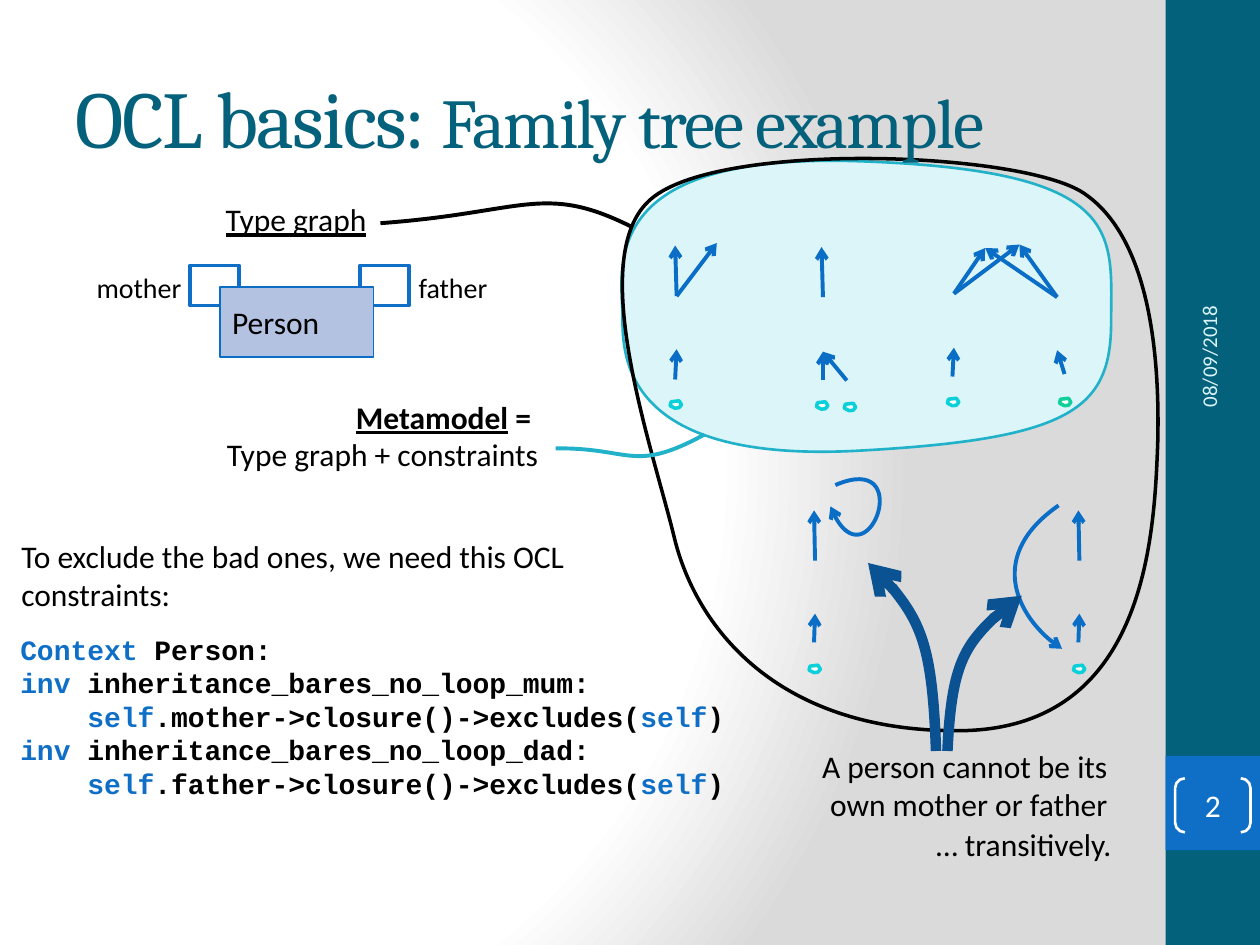
from lxml.etree import SubElement
from pptx import Presentation
from pptx.dml.color import RGBColor
from pptx.enum.shapes import MSO_CONNECTOR, MSO_SHAPE
from pptx.enum.text import MSO_ANCHOR, MSO_AUTO_SIZE, PP_ALIGN
from pptx.oxml import parse_xml
from pptx.oxml.ns import nsdecls, qn
from pptx.util import Cm, Pt

TEAL, BLUE, ARROW_BLUE, DARK_BLUE = "04617B", "0F6FC6", "0A6DC6", "0B5292"
CYAN, AQUA, GREEN, PALE = "21B2C9", "0BD0D9", "10CF9B", "DBF5F9"
BLACK, WHITE = "000000", "FFFFFF"


def color(value):
    return RGBColor.from_string(value)


def style_line(shape, value, width, arrow=False):
    shape.line.color.rgb = color(value)
    shape.line.width = Pt(width)
    if arrow:
        SubElement(shape.line._get_or_add_ln(), qn("a:tailEnd"), type="arrow")


presentation = Presentation()
presentation.slide_width, presentation.slide_height = Cm(25.4), Cm(19.05)
slide = presentation.slides.add_slide(presentation.slide_layouts[5])
shapes = slide.shapes

# Background: radial gradient
stops = "".join(
    f'<a:gs pos="{position}000"><a:srgbClr val="{value}"/></a:gs>'
    for position, value in ((0, WHITE), (75, WHITE), (100, "DADADA")))
slide._element.cSld.insert(0, parse_xml(
    f'<p:bg {nsdecls("p", "a")}><p:bgPr><a:gradFill><a:gsLst>{stops}</a:gsLst>'
    '<a:path path="circle"><a:fillToRect l="20000" t="50000" r="100000" b="50000"/>'
    '</a:path></a:gradFill><a:effectLst/></p:bgPr></p:bg>'))

# Side panel
for top, height, fill in ((0, 19.05, TEAL), (15.24, 1.9, BLUE)):
    panel = shapes.add_shape(MSO_SHAPE.RECTANGLE, Cm(23.5), Cm(top), Cm(1.9), Cm(height))
    panel.shadow.inherit = False
    panel.fill.solid()
    panel.fill.fore_color.rgb = color(fill)
    panel.line.fill.background()

# Curves: start point followed by three points for each cubic segment
curves = [
    # Set of models that satisfy the metamodel
    (PALE, CYAN, 1.5, False, [
        (12.55, 6.48), (12.57, 5.51), (11.86, 3.07), (17.3, 3.25),
        (22.73, 3.43), (22.4, 4.7), (22.4, 6.48),
        (22.4, 8.26), (21.59, 8.86), (17.22, 9.09),
        (12.85, 9.3), (12.55, 7.44), (12.55, 6.48)]),
    # Set of models that satisfy the type graph
    (None, BLACK, 2, False, [
        (13.61, 10.9), (13.18, 9.09), (11.76, 5.16), (13.13, 4.01),
        (14.5, 2.84), (20.57, 3.05), (21.84, 3.89),
        (23.14, 4.75), (23.39, 7.04), (23.34, 8.94),
        (23.27, 10.85), (23.09, 14.66), (19.41, 14.73),
        (15.72, 14.78), (14.07, 12.7), (13.61, 10.9)]),
    # Leaders from the labels to the sets
    (None, BLACK, 2.25, False, [(7.67, 4.5), (10.57, 4.29), (10.95, 3.68), (12.73, 4.57)]),
    (None, CYAN, 2.25, False, [(11.2, 9.04), (12.73, 9.02), (12.75, 9.55), (14.2, 8.76)]),
    # Forbidden loops
    (None, ARROW_BLUE, 2.25, True, [(16.84, 9.78), (18.44, 9.09), (17.45, 11.96), (16.74, 10.21)]),
    (None, ARROW_BLUE, 2.25, True, [(21.34, 10.19), (19.91, 11.18), (20.57, 12.57), (21.41, 13.08)]),
    # Thick pointers to the loops
    (None, DARK_BLUE, 6, True, [(18.87, 15.14), (18.8, 13.13), (18.49, 12.22), (17.5, 11.35)]),
    (None, DARK_BLUE, 6, True, [(19.1, 15.14), (19.18, 13.49), (19.53, 12.73), (20.6, 12.01)]),
]
STEPS = 24
for fill, line, width, arrow, points in curves:
    # Points along the curve give the outline its true extent
    builder = shapes.build_freeform(Cm(points[0][0]), Cm(points[0][1]))
    vertices = []
    for first in range(0, len(points) - 1, 3):
        for step in range(1, STEPS + 1):
            t = step / STEPS
            weights = ((1 - t) ** 3, 3 * t * (1 - t) ** 2, 3 * t * t * (1 - t), t ** 3)
            vertices.append(tuple(
                Cm(sum(weight * point[axis] for weight, point in zip(weights, points[first:first + 4])))
                for axis in (0, 1)))
    closed = points[0] == points[-1]
    builder.add_line_segments(vertices, close=closed)
    curve = builder.convert_to_shape()
    # Cubic segments replace the straight ones
    outline = next(curve._element.iter(qn("a:path")))
    for segment in outline.findall(qn("a:lnTo")):
        outline.remove(segment)
    for first in range(1, len(points), 3):
        cubic = SubElement(outline, qn("a:cubicBezTo"))
        for x, y in points[first:first + 3]:
            SubElement(cubic, qn("a:pt"), x=str(Cm(x) - curve.left), y=str(Cm(y) - curve.top))
    if closed:
        outline.append(outline.find(qn("a:close")))
    curve.shadow.inherit = False
    if fill:
        curve.fill.solid()
        curve.fill.fore_color.rgb = color(fill)
    else:
        curve.fill.background()
    style_line(curve, line, width, arrow)

# Title
title = shapes.title
shapes._spTree.append(title._element)
title.left, title.top, title.width, title.height = Cm(1.27), Cm(0.76), Cm(21.16), Cm(3.18)
title.text_frame.auto_size = MSO_AUTO_SIZE.NONE
title.text_frame.vertical_anchor = MSO_ANCHOR.MIDDLE
paragraph = title.text_frame.paragraphs[0]
paragraph.alignment = PP_ALIGN.LEFT
for text, size in (("OCL basics: ", 46), ("Family tree example", 40)):
    run = paragraph.add_run()
    run.text = text
    run.font.name, run.font.size = "Cambria", Pt(size)
    run.font.color.rgb = color(TEAL)
    run.font._element.set("spc", "-100")

# Person class with its two self-references, and the page number bracket
boxes = [
    (MSO_SHAPE.RECTANGLE, 7.26, 5.35, 0.99, 0.81, WHITE, BLUE, 2, "", BLACK),
    (MSO_SHAPE.RECTANGLE, 3.83, 5.35, 0.99, 0.81, WHITE, BLUE, 2, "", BLACK),
    (MSO_SHAPE.RECTANGLE, 4.43, 5.78, 3.1, 1.42, "B4C2E2", ARROW_BLUE, 1, "Person", BLACK),
    (MSO_SHAPE.DOUBLE_BRACKET, 23.69, 15.69, 1.52, 1.09, None, WHITE, 1.5, "2", WHITE),
]
for kind, left, top, width, height, fill, line, weight, text, ink in boxes:
    box = shapes.add_shape(kind, Cm(left), Cm(top), Cm(width), Cm(height))
    box.shadow.inherit = False
    if fill:
        box.fill.solid()
        box.fill.fore_color.rgb = color(fill)
    else:
        box.fill.background()
        box.adjustments[0] = 0.18
        frame = box.text_frame
        frame.margin_left = frame.margin_right = frame.margin_top = frame.margin_bottom = 0
    style_line(box, line, weight)
    if text:
        box.text_frame.vertical_anchor = MSO_ANCHOR.MIDDLE
        paragraph = box.text_frame.paragraphs[0]
        paragraph.alignment = PP_ALIGN.LEFT if fill else PP_ALIGN.CENTER
        run = paragraph.add_run()
        run.text = text
        run.font.name, run.font.size = "Calibri", Pt(18)
        run.font.color.rgb = color(ink)

# Family trees: arrows from child to parent
arrows = [
    (13.64, 5.97, 13.61, 4.95), (13.64, 5.97, 14.45, 4.9), (13.61, 7.65, 13.64, 7.04),
    (16.59, 5.99, 16.56, 4.98), (16.59, 7.67, 16.59, 7.09), (17.07, 7.67, 16.59, 7.09),
    (19.23, 5.92, 19.86, 5), (19.23, 5.92, 20.55, 4.93),
    (21.31, 5.99, 20.55, 4.93), (21.31, 5.99, 19.86, 5),
    (21.46, 7.54, 21.31, 7.06), (19.2, 7.59, 19.23, 7.01),
]
for x in (16.41, 21.74):
    arrows += [(x + 0.02, 11.3, x, 10.29), (x, 12.95, x + 0.02, 12.37)]
for ends in arrows:
    connector = shapes.add_connector(MSO_CONNECTOR.STRAIGHT, *map(Cm, ends))
    style_line(connector, ARROW_BLUE, 2.25, arrow=True)
    SubElement(connector._element.spPr, qn("a:effectLst"))

# Family trees: youngest persons
RING = [(0.02, 0.02), (0.18, 0), (0.23, 0.08), (0.18, 0.14), (0.1, 0.15), (0, 0.1)]
for left, top, line in ((13.51, 8.08, AQUA), (16.46, 8.1, AQUA), (17.02, 8.13, AQUA),
                        (19.1, 8.03, AQUA), (21.36, 8.03, GREEN),
                        (16.31, 13.41, AQUA), (21.64, 13.41, AQUA)):
    vertices = [(Cm(left + x), Cm(top + y)) for x, y in RING]
    builder = shapes.build_freeform(*vertices[0])
    builder.add_line_segments(vertices[1:], close=True)
    ring = builder.convert_to_shape()
    ring.shadow.inherit = False
    ring.fill.solid()
    ring.fill.fore_color.rgb = color(WHITE)
    style_line(ring, line, 2)

# Texts: each run is (text, marks) with b bold, u underlined, k keyword, p pale
code = [[("Context", "bk"), (" Person:", "b")]]
for short, parent in (("mum", "mother"), ("dad", "father")):
    code += [[("inv ", "bk"), (f"inheritance_bares_no_loop_{short}:", "b")],
             [("    ", "b"), ("self", "bk"), (f".{parent}->closure()->excludes(", "b"),
              ("self", "bk"), (")", "b")]]
LEFT, RIGHT = PP_ALIGN.LEFT, PP_ALIGN.RIGHT
texts = [
    (20.98, 4.56, 6.78, 1.02, True, LEFT, "Calibri", 12, [[("08/09/2018", "p")]]),
    (0.18, 10.7, 11.81, 1.8, True, LEFT, "Calibri", 18,
     [[("To exclude the bad ones, we need this OCL constraints:", "")]]),
    (8.19, 5.33, 1.9, 0.94, False, LEFT, "Calibri", 16, [[("father", "")]]),
    (1.7, 5.33, 2.24, 0.94, False, LEFT, "Calibri", 16, [[("mother", "")]]),
    (4.3, 3.91, 3.38, 1.02, False, LEFT, "Calibri", 18, [[("Type graph", "u")]]),
    (0.16, 12.62, 17.96, 3.68, True, LEFT, "Courier New", 16, code),
    (16.1, 14.93, 6.48, 1.8, False, RIGHT, "Calibri", 18,
     [[("A person cannot be its", "")], [("own mother or father", "")]]),
    (18.62, 16.51, 4.09, 1.02, False, LEFT, "Calibri", 18, [[("… transitively.", "")]]),
    (4.24, 7.89, 6.86, 1.8, False, RIGHT, "Calibri", 18,
     [[("Metamodel", "bu"), (" = ", "b"), ("\n", ""), ("Type graph + constraints", "")]]),
]
for left, top, width, height, wrap, alignment, font, size, paragraphs in texts:
    box = shapes.add_textbox(Cm(left), Cm(top), Cm(width), Cm(height))
    frame = box.text_frame
    frame.word_wrap = wrap
    for number, runs in enumerate(paragraphs):
        paragraph = frame.add_paragraph() if number else frame.paragraphs[0]
        paragraph.alignment = alignment
        for text, marks in runs:
            if text == "\n":
                paragraph.add_line_break()
                continue
            run = paragraph.add_run()
            run.text = text
            run.font.name, run.font.size = font, Pt(size)
            run.font.bold, run.font.underline = "b" in marks, "u" in marks
            run.font.color.rgb = color(BLUE if "k" in marks else PALE if "p" in marks else BLACK)
    if "p" in marks:
        box.rotation = 270
        frame.vertical_anchor = MSO_ANCHOR.MIDDLE

presentation.save("out.pptx")
